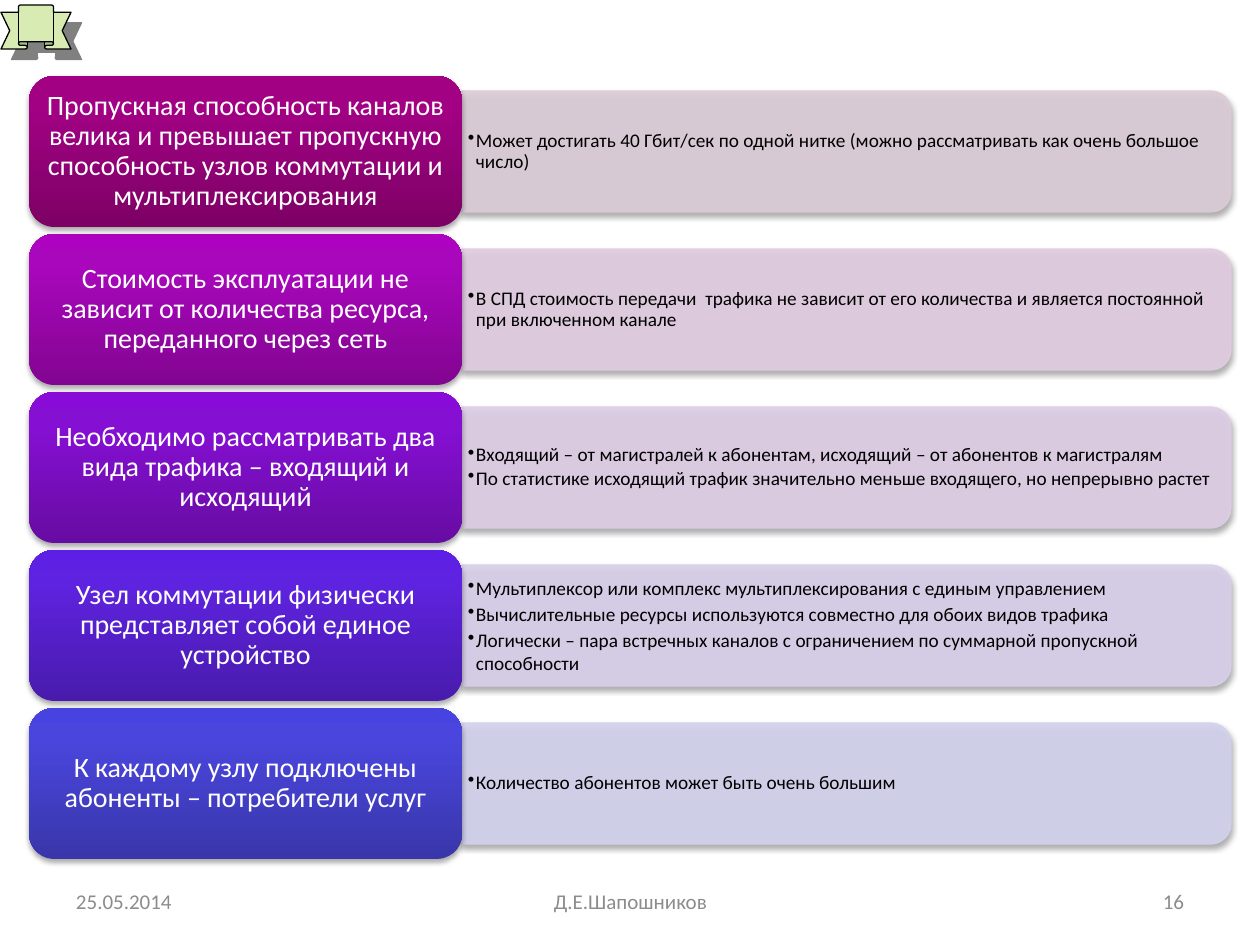
"""Builds a slide of five traffic-model statements with explanatory panels."""
from lxml import etree
from pptx import Presentation, util as u
from pptx.dml.color import RGBColor
from pptx.enum import shapes, text
from pptx.oxml import parse_xml
from pptx.oxml.ns import nsdecls, qn

PX = 914400 / 126
ROWS = [
    ("Пропускная способность каналов велика и превышает пропускную способность узлов коммутации и мультиплексирования",
     ["Может достигать 40 Гбит/сек по одной нитке (можно рассматривать как очень большое число)"],
     ("7D0165", "A20184", "A40085"), "DCCCD7", 0.9),
    ("Стоимость эксплуатации не зависит от количества ресурса, переданного через сеть",
     ["В СПД стоимость передачи  трафика не зависит от его количества и является постоянной при включенном канале"],
     ("820591", "A907BC", "AD03C0"), "E1CDE1", 0.9),
    ("Необходимо рассматривать два вида трафика – входящий и исходящий",
     ["Входящий – от магистралей к абонентам, исходящий – от абонентов к магистралям",
      "По статистике исходящий трафик значительно меньше входящего, но непрерывно растет"],
     ("670CA3", "860FD4", "880BD8"), "DECEE6", 0.9),
    ("Узел коммутации физически представляет собой единое устройство",
     ["Мультиплексор или комплекс мультиплексирования с единым управлением",
      "Вычислительные ресурсы используются совместно для обоих видов трафика",
      "Логически – пара встречных каналов с ограничением по суммарной пропускной способности"],
     ("491BAD", "5E23E0", "5D1FE5"), "D9D0EA", 1.0),
    ("К каждому узлу подключены абоненты – потребители услуг",
     ["Количество абонентов может быть очень большим"],
     ("3936AA", "4A46DD", "4743E1"), "D3D2EE", 0.9),
]
FOOTER = [
    ("25.05.2014", 63, 294, text.PP_ALIGN.LEFT),
    ("Д.Е.Шапошников", 431, 399, text.PP_ALIGN.CENTER),
    ("16", 903, 294, text.PP_ALIGN.RIGHT),
]
TOP, PITCH = 76, 158
CARD_X, CARD_W, CARD_H = 29, 433, 151
PANEL_X, PANEL_W, PANEL_H = 462, 769, 121


def px(n):
    return u.Emu(round(n * PX))


def rgb(color):
    return RGBColor.from_string(color)


def add_shape(s, kind, x, y, w, h, color=None, line=None):
    sp = s.shapes.add_shape(kind, px(x), px(y), px(w), px(h))
    sp.shadow.inherit = False
    if color:
        sp.fill.solid()
        sp.fill.fore_color.rgb = rgb(color)
    if line:
        sp.line.color.rgb = rgb(line)
        sp.line.width = u.Pt(0.75)
    else:
        sp.line.fill.background()
    return sp


def set_shadow(sp, color="000000", alpha=35, blur=3.1, dist=1.8, angle=90):
    effects = sp._element.spPr.find(qn("a:effectLst"))
    effects.append(parse_xml(
        f'<a:outerShdw {nsdecls("a")} blurRad="{u.Pt(blur)}" dist="{u.Pt(dist)}" '
        f'dir="{angle * 60000}" algn="ctr" rotWithShape="0"><a:srgbClr val="{color}">'
        f'<a:alpha val="{alpha * 1000}"/></a:srgbClr></a:outerShdw>'))


def set_gradient(sp, colors):
    sp.fill.gradient()
    sp.fill.gradient_angle = 90
    stops = sp._element.spPr.find(qn("a:gradFill")).find(qn("a:gsLst"))
    for stop in list(stops):
        stops.remove(stop)
    for pos, color in zip((0, 80, 100), colors):
        stop = etree.SubElement(stops, qn("a:gs"), pos=str(pos * 1000))
        etree.SubElement(stop, qn("a:srgbClr"), val=color)


def set_alpha(sp, percent):
    for color in sp._element.spPr.iter(qn("a:srgbClr")):
        etree.SubElement(color, qn("a:alpha"), val=str(percent * 1000))


def write(sp, lines, size, color, align, margins, spacing=1.0, after=0, bullet=False):
    tf = sp.text_frame
    tf.word_wrap = True
    tf.vertical_anchor = text.MSO_ANCHOR.MIDDLE
    tf.margin_left = tf.margin_right = px(margins[0])
    tf.margin_top = tf.margin_bottom = px(margins[1])
    for i, line in enumerate(lines):
        p = tf.add_paragraph() if i else tf.paragraphs[0]
        if bullet:
            pPr = p._p.get_or_add_pPr()
            pPr.set("marL", str(px(8)))
            pPr.set("indent", str(px(-8)))
            etree.SubElement(pPr, qn("a:buChar"), char="•")
        p.alignment = align
        p.line_spacing = spacing
        p.space_after = u.Pt(after)
        r = p.add_run()
        r.text = line
        r.font.name = "Calibri"
        r.font.size = u.Pt(size)
        r.font.color.rgb = rgb(color)


def add_row(s, y, title, details, gradient, tint, spacing):
    mid = y + CARD_H / 2
    panel = add_shape(s, shapes.MSO_SHAPE.ROUND_2_SAME_RECTANGLE,
                      PANEL_X + (PANEL_W - PANEL_H) / 2, mid - PANEL_W / 2,
                      PANEL_H, PANEL_W, tint, tint)
    panel.rotation = 90
    set_alpha(panel, 90)
    set_shadow(panel)
    box = s.shapes.add_textbox(px(PANEL_X), px(mid - 54), px(762), px(108))
    write(box, details, 11, "000000", text.PP_ALIGN.LEFT, (6, 3), spacing, 1.65, True)
    card = add_shape(s, shapes.MSO_SHAPE.ROUNDED_RECTANGLE, CARD_X, y, CARD_W, CARD_H)
    set_gradient(card, gradient)
    set_shadow(card)
    write(card, [title], 16, "FFFFFF", text.PP_ALIGN.CENTER, (9, 4), 0.9)


def main():
    prs = Presentation()
    prs.slide_width, prs.slide_height = px(1260), px(945)
    s = prs.slides.add_slide(prs.slide_layouts[6])
    ribbon = add_shape(s, shapes.MSO_SHAPE.UP_RIBBON, 1, 5, 70, 44, "D8EBB3", "000000")
    set_shadow(ribbon, "808080", 100, 0, 8.5, 45)
    for i, row in enumerate(ROWS):
        add_row(s, TOP + i * PITCH, *row)
    for label, x, w, align in FOOTER:
        box = s.shapes.add_textbox(px(x), px(876), px(w), px(50))
        write(box, [label], 12, "8C8C8C", align, (13, 6))
    prs.save("out.pptx")


if __name__ == "__main__":
    main()
